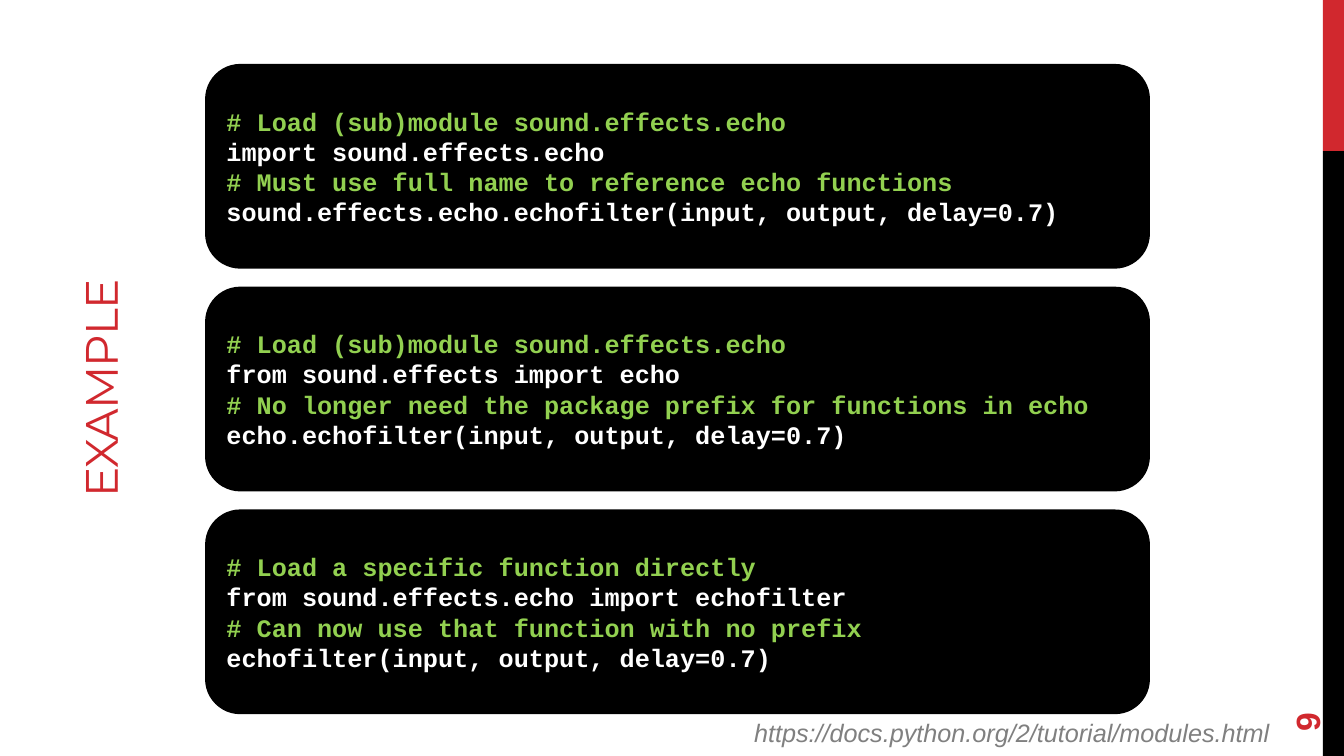
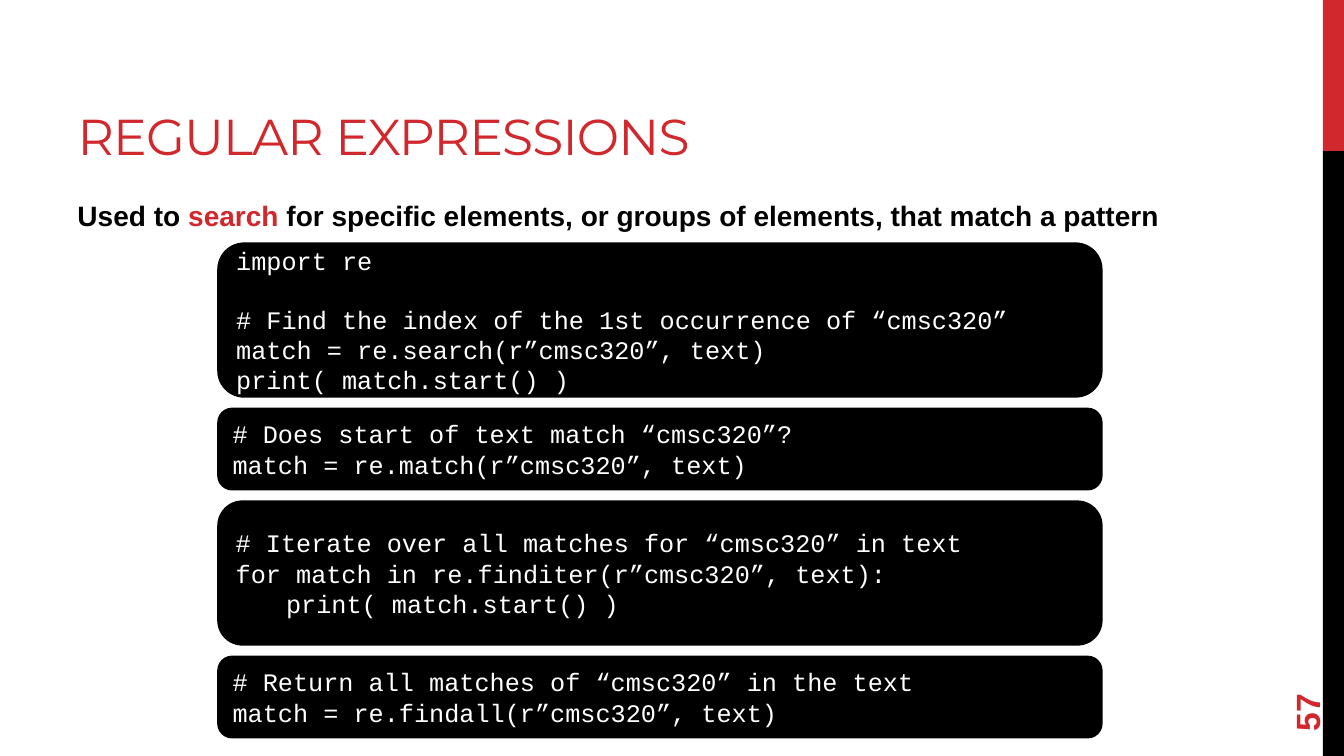
from lxml import etree
from pptx import Presentation
from pptx.dml.color import RGBColor
from pptx.enum.shapes import MSO_SHAPE
from pptx.enum.text import MSO_ANCHOR, MSO_AUTO_SIZE, PP_ALIGN
from pptx.oxml.ns import qn
from pptx.util import Inches, Pt

RED, BLACK, WHITE, GREEN, GREY = "D1282E", "000000", "FFFFFF", "92D050", "808080"
BODY, CODE, HEADING = "Arial", "Courier New", "Montserrat"
CODE_SIZE = 18
CODE_LINE = 20.4  # height of one line of code, in points


# Helpers
def rgb(value):
    return RGBColor.from_string(value)


def set_font(font, name, size, color, bold=False, italic=False):
    font.name, font.size = name, Pt(size)
    font.bold, font.italic = bold, italic
    font.color.rgb = rgb(color)


def add_block(s, shape, box, color):
    sp = s.shapes.add_shape(shape, *map(Inches, box))
    sp.shadow.inherit = False
    sp.fill.solid()
    sp.fill.fore_color.rgb = rgb(color)
    sp.line.fill.background()
    return sp


def add_text(s, box, text, size, color, bold=False, italic=False,
             align=PP_ALIGN.LEFT):
    sp = s.shapes.add_textbox(*map(Inches, box))
    sp.text_frame.word_wrap = True
    p = sp.text_frame.paragraphs[0]
    p.text = text
    p.alignment = align
    set_font(p.font, BODY, size, color, bold, italic)
    return sp


# Parts shared by the slides
def add_bands(layout, s):
    """Draw the right-hand bands and move them to the layout."""
    for ph in list(layout.placeholders)[1:]:
        ph.element.getparent().remove(ph.element)
    for top, height, color in ((0, 1.5, RED), (1.5, 6, BLACK)):
        band = add_block(s, MSO_SHAPE.RECTANGLE, (13.12, top, 0.21, height), color)
        layout.shapes.element.append(band.element)


def set_title(s, text, box, size, align=PP_ALIGN.LEFT, rotation=0):
    title = s.shapes.title
    title.left, title.top, title.width, title.height = map(Inches, box)
    title.rotation = rotation
    tf = title.text_frame
    tf.text = text
    tf.auto_size = MSO_AUTO_SIZE.NONE
    tf.vertical_anchor = MSO_ANCHOR.BOTTOM
    tf.margin_bottom = Inches(0.03)
    p = tf.paragraphs[0]
    p.alignment = align
    set_font(p.font, HEADING, size, RED)
    p.runs[0].font._element.set("spc", "-60")


def add_number(s, number):
    sp = add_text(s, (12.24, 6.37, 1.44, 0.53), number, 24, RED, bold=True)
    sp.rotation = 270
    sp.text_frame.vertical_anchor = MSO_ANCHOR.MIDDLE


def add_tab_stop(p, inches):
    tabs = etree.SubElement(p._p.get_or_add_pPr(), qn("a:tabLst"))
    etree.SubElement(tabs, qn("a:tab"), pos=str(Inches(inches)), algn="l")


def add_code(s, box, code, comment_color=WHITE, bold=False):
    """Black panel of code; an empty line becomes space before the next."""
    sp = add_block(s, MSO_SHAPE.ROUNDED_RECTANGLE, box, BLACK)
    sp.line.color.rgb = rgb(BLACK)
    sp.line.width = Pt(2.25)
    tf = sp.text_frame
    tf.vertical_anchor = MSO_ANCHOR.MIDDLE
    p, gap = tf.paragraphs[0], 0
    for i, line in enumerate(code):
        if not line:
            gap += CODE_LINE
            continue
        if i:
            p = tf.add_paragraph()
        p.text = line
        p.alignment = PP_ALIGN.LEFT
        if gap:
            p.space_before = Pt(gap)
            gap = 0
        if line.startswith("\t"):
            add_tab_stop(p, 0.5)
        color = comment_color if line.startswith("#") else WHITE
        set_font(p.font, CODE, CODE_SIZE, color, bold)


# Slides
def build_example(s):
    set_title(s, "EXAMPLE", (-2.22, 3.51, 6.33, 0.69), 32.4, PP_ALIGN.CENTER, 270)
    add_number(s, "9")
    examples = (
        ("# Load (sub)module sound.effects.echo",
         "import sound.effects.echo",
         "# Must use full name to reference echo functions",
         "sound.effects.echo.echofilter(input, output, delay=0.7)"),
        ("# Load (sub)module sound.effects.echo",
         "from sound.effects import echo",
         "# No longer need the package prefix for functions in echo",
         "echo.echofilter(input, output, delay=0.7)"),
        ("# Load a specific function directly",
         "from sound.effects.echo import echofilter",
         "# Can now use that function with no prefix",
         "echofilter(input, output, delay=0.7)"),
    )
    for i, code in enumerate(examples):
        add_code(s, (2.05, 0.65 + 2.21 * i, 9.34, 2), code, GREEN, bold=True)
    add_text(s, (3.17, 7.07, 9.52, 0.4),
             "https://docs.python.org/2/tutorial/modules.html",
             18, GREY, italic=True, align=PP_ALIGN.RIGHT)


def build_regex(s):
    set_title(s, "REGULAR EXPRESSIONS", (0.67, 0.17, 8.44, 1.5), 36)
    intro = add_text(s, (0.67, 1.92, 11.11, 4.78), "Used to ", 20, BLACK, bold=True)
    p = intro.text_frame.paragraphs[0]
    p.space_after = Pt(6)
    r = p.add_run()
    r.text = "search"
    r.font.color.rgb = rgb(RED)
    p.add_run().text = (" for specific elements, or groups of elements, "
                        "that match a pattern")
    add_number(s, "57")

    panels = (
        (1.51, ("import re",
                "",
                "# Find the index of the 1st occurrence of “cmsc320”",
                "match = re.search(r”cmsc320”, text)",
                "print( match.start() )")),
        (0.79, ("# Does start of text match “cmsc320”?",
                "match = re.match(r”cmsc320”, text)")),
        (1.41, ("# Iterate over all matches for “cmsc320” in text",
                "for match in re.finditer(r”cmsc320”, text):",
                "\tprint( match.start() )")),
        (0.79, ("# Return all matches of “cmsc320” in the text",
                "match = re.findall(r”cmsc320”, text)")),
    )
    top, gap = 2.42, 0.13
    for height, code in panels:
        add_code(s, (2.17, top, 8.75, height), code)
        top += height + gap


def main():
    prs = Presentation()
    prs.slide_width, prs.slide_height = Inches(13.33), Inches(7.5)
    layout = prs.slide_layouts[5]
    example, regex = (prs.slides.add_slide(layout) for _ in range(2))
    add_bands(layout, example)
    build_example(example)
    build_regex(regex)
    prs.save("out.pptx")


if __name__ == "__main__":
    main()
